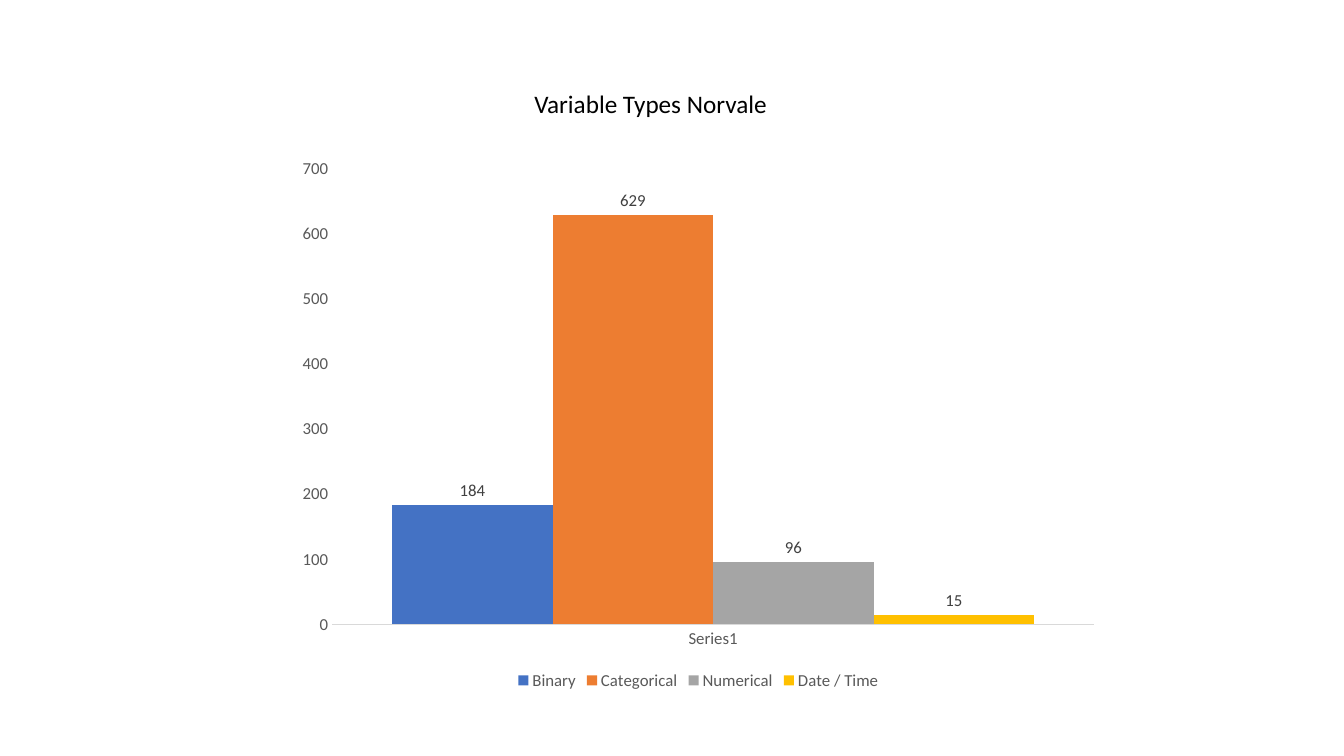
"""Build a slide with a column chart of variable types."""
import pptx
import pptx.chart.data
import pptx.dml.color
import pptx.enum.chart
import pptx.enum.text
import pptx.util
from pptx.util import Cm

TITLE = "Variable Types Norvale"
CATEGORY = "Series1"
SERIES = [
    ("Binary", 184, "4472C4"),
    ("Categorical", 629, "ED7D31"),
    ("Numerical", 96, "A5A5A5"),
    ("Date / Time", 15, "FFC000"),
]
TITLE_BOX = (Cm(13.21), Cm(2.11), Cm(14.17), Cm(1.02))
CHART_BOX = (Cm(7.21), Cm(3.73), Cm(20.78), Cm(13.77))


def color(value):
    return pptx.dml.color.RGBColor.from_string(value)


def style_font(font, size, value):
    font.name = "Calibri"
    font.size = pptx.util.Pt(size)
    font.color.rgb = color(value)


def add_title(page):
    box = page.shapes.title
    box.left, box.top, box.width, box.height = TITLE_BOX
    frame = box.text_frame
    frame.text = TITLE
    frame.word_wrap = True
    frame.auto_size = pptx.enum.text.MSO_AUTO_SIZE.SHAPE_TO_FIT_TEXT
    frame.vertical_anchor = pptx.enum.text.MSO_ANCHOR.TOP
    para = frame.paragraphs[0]
    para.alignment = pptx.enum.text.PP_ALIGN.LEFT
    style_font(para.runs[0].font, 18, "000000")


def style_axes(chart):
    for axis in (chart.category_axis, chart.value_axis):
        axis.has_major_gridlines = False
        axis.major_tick_mark = pptx.enum.chart.XL_TICK_MARK.NONE
        axis.minor_tick_mark = pptx.enum.chart.XL_TICK_MARK.NONE
        style_font(axis.tick_labels.font, 12, "595959")
    baseline = chart.category_axis.format.line
    baseline.color.rgb = color("D9D9D9")
    baseline.width = pptx.util.Pt(0.75)
    chart.value_axis.format.line.fill.background()
    chart.value_axis.minimum_scale = 0
    chart.value_axis.maximum_scale = 700
    chart.value_axis.major_unit = 100


def add_chart(page):
    data = pptx.chart.data.CategoryChartData()
    data.categories = [CATEGORY]
    for name, count, _ in SERIES:
        data.add_series(name, [count])
    kind = pptx.enum.chart.XL_CHART_TYPE.COLUMN_CLUSTERED
    chart = page.shapes.add_chart(kind, *CHART_BOX, data).chart
    style_font(chart.font, 10, "000000")
    chart.has_title = False
    chart.has_legend = True
    chart.legend.position = pptx.enum.chart.XL_LEGEND_POSITION.BOTTOM
    chart.legend.include_in_layout = False
    style_font(chart.legend.font, 12, "595959")
    style_axes(chart)

    plot = chart.plots[0]
    plot.vary_by_categories = False
    plot.gap_width = 75
    plot.overlap = 0
    for series, (_, _, fill) in zip(plot.series, SERIES):
        series.format.fill.solid()
        series.format.fill.fore_color.rgb = color(fill)
        labels = series.data_labels
        labels.show_value = True
        labels.position = pptx.enum.chart.XL_LABEL_POSITION.OUTSIDE_END
        style_font(labels.font, 12, "404040")


def main():
    deck = pptx.Presentation()
    deck.slide_width, deck.slide_height = Cm(33.87), Cm(19.05)
    page = deck.slides.add_slide(deck.slide_layouts.get_by_name("Title Only"))
    add_chart(page)
    add_title(page)
    deck.save("out.pptx")


if __name__ == "__main__":
    main()
